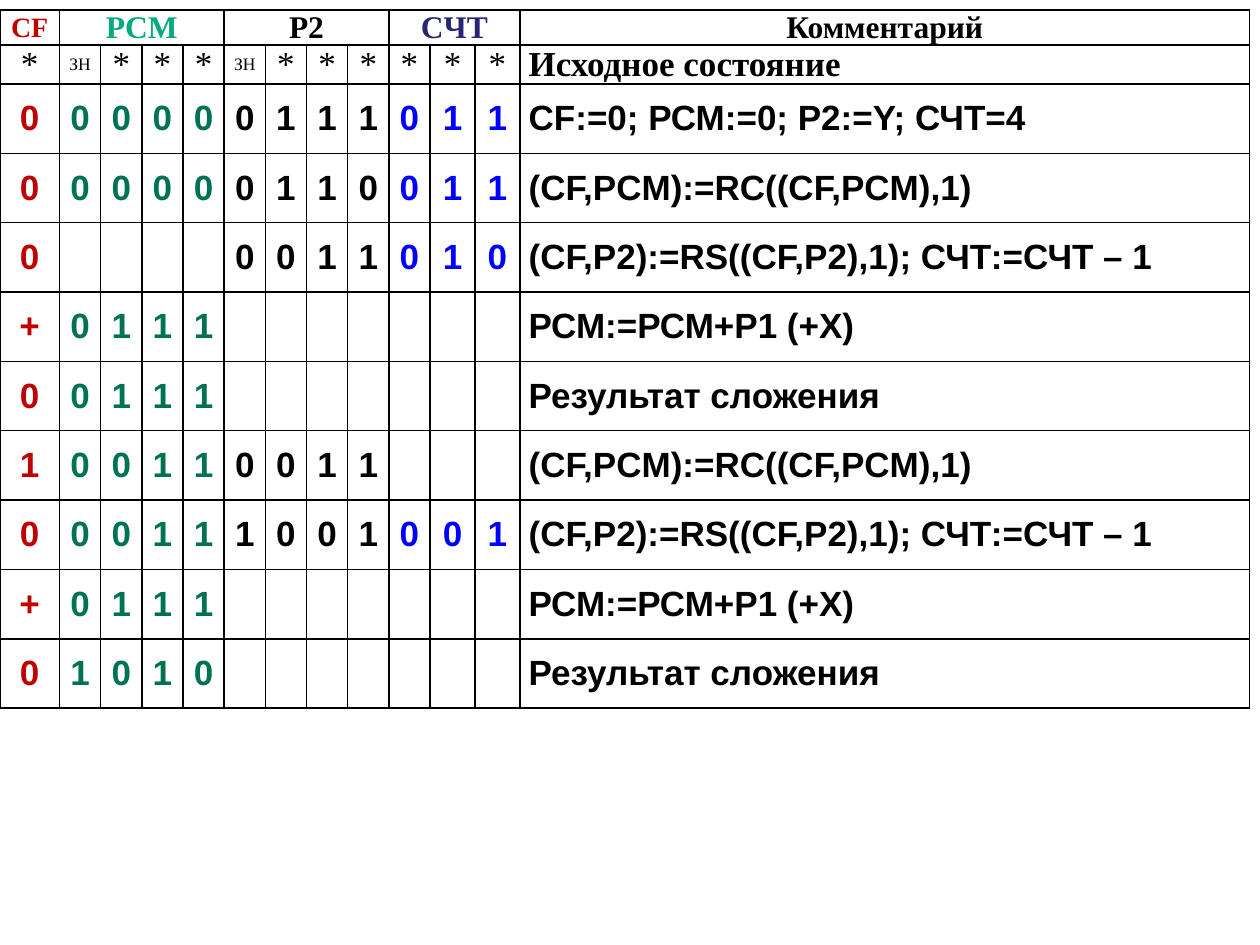
from lxml import etree
from pptx import Presentation, util as u
from pptx.dml.color import RGBColor
from pptx.enum import text
from pptx.oxml import ns

Pt = u.Pt
THEME = {
    "serif": "Times New Roman", "sans": "Arial",
    "black": "000000", "red": "C00000", "green": "007254", "blue": "0000FF",
    "mint": "00AB7E", "navy": "262673",
    "small": 10, "flag": 16, "head": 18, "body": 20,
}

# label, first column, columns covered, colour, size
HEADS = [
    ("CF", 0, 1, "red", "flag"),
    ("PCM", 1, 4, "mint", "head"),
    ("P2", 5, 4, "black", "head"),
    ("CЧТ", 9, 3, "navy", "head"),
    ("Комментарий", 12, 1, "black", "head"),
]
MARKS = ["*", "ЗН", "*", "*", "*", "ЗН", *"******"]
START = "Исходное состояние"
# CF, PCM, P2, counter, comment
STEPS = [
    ("0", "0000", "0111", "011", "CF:=0; РСМ:=0; Р2:=Y; СЧТ=4"),
    ("0", "0000", "0110", "011", "(CF,PCM):=RС((CF,PCM),1)"),
    ("0", "", "0011", "010", "(CF,P2):=RS((CF,P2),1); СЧТ:=СЧТ – 1"),
    ("+", "0111", "", "", "РСМ:=РСМ+Р1 (+X)"),
    ("0", "0111", "", "", "Результат сложения"),
    ("1", "0011", "0011", "", "(CF,PCM):=RС((CF,PCM),1)"),
    ("0", "0011", "1001", "001", "(CF,P2):=RS((CF,P2),1); СЧТ:=СЧТ – 1"),
    ("+", "0111", "", "", "РСМ:=РСМ+Р1 (+X)"),
    ("0", "1010", "", "", "Результат сложения"),
]
INKS = ["red", "green", "black", "blue", "black"]
LAST = 12
COLS = [34] + [23.55] * 9 + [25.7] * 2 + [417]
ROWS = [19.5, 22.3] + [39.65] * len(STEPS)


def frame(cell):
    """Clear the fill and draw a thin line on all four sides."""
    cell.fill.background()
    props = cell._tc.get_or_add_tcPr()
    for i, side in enumerate(("lnL", "lnR", "lnT", "lnB")):
        line = etree.Element(ns.qn("a:" + side), w=str(Pt(1)))
        fill = etree.SubElement(line, ns.qn("a:solidFill"))
        etree.SubElement(fill, ns.qn("a:srgbClr"), val=THEME["black"])
        props.insert(i, line)


def write(cell, words, ink="black", size="body", face="sans", bold=True,
          align=text.PP_ALIGN.CENTER):
    para = cell.text_frame.paragraphs[0]
    para.alignment, para.space_after = align, Pt(3)
    run = para.add_run()
    run.text = words
    look = {"name": THEME[face], "size": Pt(THEME[size]), "bold": bold}
    for key, val in look.items():
        setattr(run.font, key, val)
    run.font.color.rgb = RGBColor.from_string(THEME[ink])


def build():
    deck = Presentation()
    deck.slide_width, deck.slide_height = Pt(720), Pt(540)
    slide = deck.slides.add_slide(deck.slide_layouts[6])
    grid = slide.shapes.add_table(len(ROWS), len(COLS), Pt(0), Pt(5.75),
                                  Pt(sum(COLS)), Pt(sum(ROWS))).table
    grid.first_row = grid.horz_banding = False
    for col, wide in zip(grid.columns, COLS):
        col.width = Pt(wide)
    for row, high in zip(grid.rows, ROWS):
        row.height = Pt(high)

    inset = {"margin_left": Pt(5), "margin_right": Pt(5),
             "margin_top": 0, "margin_bottom": 0,
             "vertical_anchor": text.MSO_ANCHOR.MIDDLE}
    for cell in grid.iter_cells():
        for key, val in inset.items():
            setattr(cell, key, val)
        frame(cell)

    for label, col, span, ink, size in HEADS:
        cell = grid.cell(0, col)
        if span > 1:
            cell.merge(grid.cell(0, col + span - 1))
        write(cell, label, ink, size, "serif")

    for col, mark in enumerate(MARKS):
        size = "body" if mark == "*" else "small"
        write(grid.cell(1, col), mark, size=size, face="serif", bold=False)
    left = text.PP_ALIGN.LEFT
    write(grid.cell(1, LAST), START, face="serif", align=left)

    for r, step in enumerate(STEPS, 2):
        for head, bits, ink in zip(HEADS[:-1], step, INKS):
            for col, bit in enumerate(bits, head[1]):
                write(grid.cell(r, col), bit, ink)
        write(grid.cell(r, LAST), step[-1], INKS[-1], align=left)
    deck.save("out.pptx")


if __name__ == "__main__":
    build()
